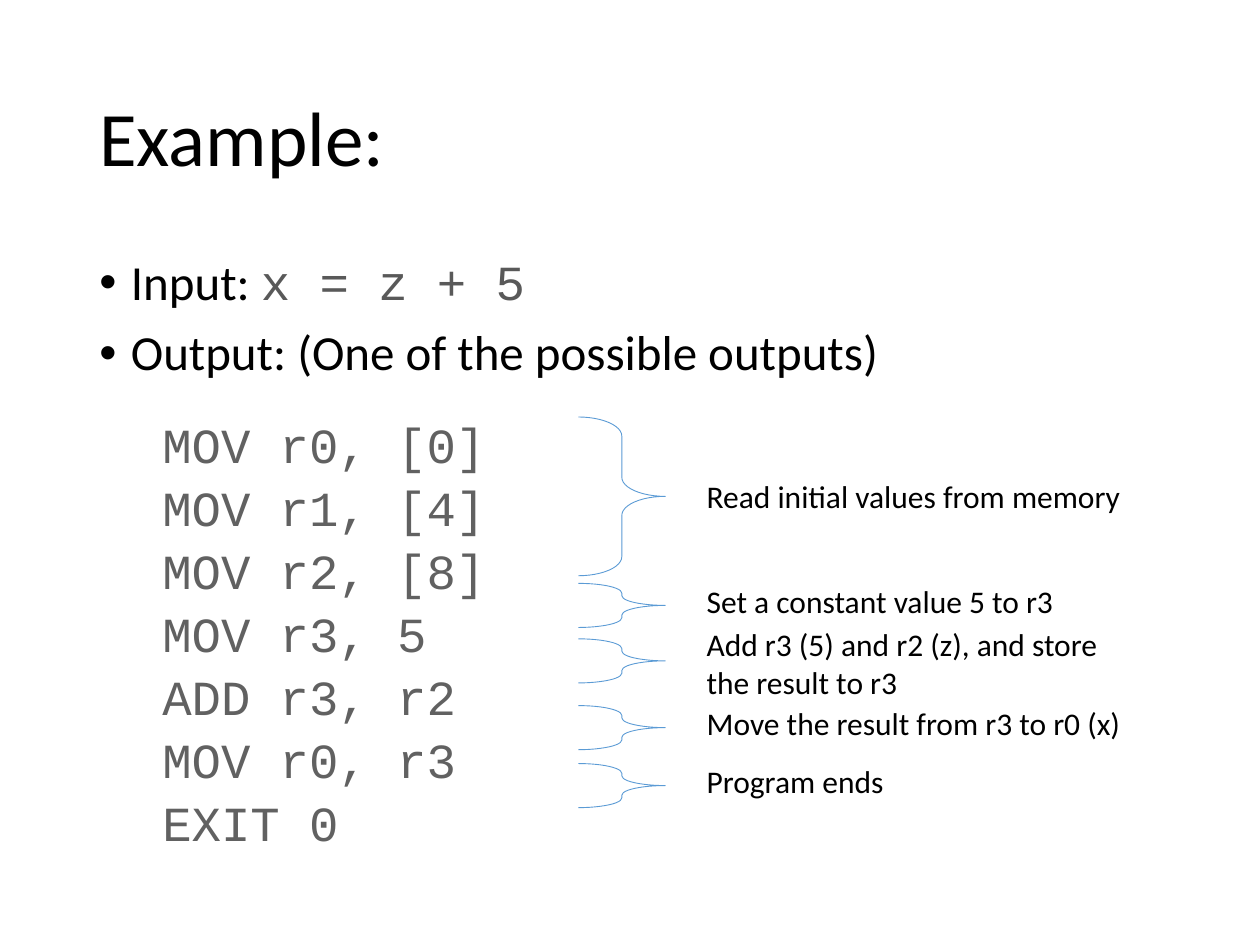
from dataclasses import dataclass

from lxml import etree
from pptx import Presentation
from pptx import util as u
from pptx.dml.color import RGBColor
from pptx.enum import shapes, text
from pptx.oxml.ns import qn

PX = 9144


@dataclass(frozen=True)
class Theme:
    ink: str = "000000"
    inline_code: str = "595959"
    code: str = "616161"
    brace: str = "5B9BD5"
    prose_font: str = "Calibri"
    code_font: str = "Courier New"
    title_size: int = 44
    body_size: int = 28
    note_size: int = 18


class SlideBuilder:
    def __init__(self, slide, theme):
        self.slide = slide
        self.theme = theme

    def frame(self, left, top, width, height, wrap=True):
        box = self.slide.shapes.add_textbox(*(n * PX for n in (left, top, width, height)))
        box.text_frame.word_wrap = wrap
        return box.text_frame

    def style(self, run, size, color, font):
        run.font.size = u.Pt(size)
        run.font.name = font
        run.font.color.rgb = RGBColor.from_string(color)

    def title(self, left, top, width, height, wording):
        heading = self.frame(left, top, width, height)
        heading.vertical_anchor = text.MSO_ANCHOR.MIDDLE
        heading.text = wording
        heading.paragraphs[0].line_spacing = 0.9
        self.style(heading.paragraphs[0].runs[0], self.theme.title_size,
                   self.theme.ink, self.theme.prose_font)

    def bullets(self, left, top, width, height, items):
        body = self.frame(left, top, width, height)
        body.text = "\n".join(label for label, _ in items)
        for paragraph, (_, formula) in zip(body.paragraphs, items):
            paragraph.line_spacing = 0.9
            paragraph.space_before = u.Pt(10)
            self.style(paragraph.runs[0], self.theme.body_size,
                       self.theme.ink, self.theme.prose_font)
            if formula:
                code = paragraph.add_run()
                code.text = formula
                self.style(code, self.theme.body_size,
                           self.theme.inline_code, self.theme.code_font)
            props = paragraph._p.get_or_add_pPr()
            props.set("marL", str(25 * PX))
            props.set("indent", str(-25 * PX))
            etree.SubElement(props, qn("a:buFont")).set("typeface", "Arial")
            etree.SubElement(props, qn("a:buChar")).set("char", "•")

    def listing(self, left, top, width, height, lines):
        program = self.frame(left, top, width, height)
        program.text = "\n".join(lines)
        for paragraph in program.paragraphs:
            paragraph.line_spacing = 1.07
            paragraph._p.get_or_add_pPr().set("marL", str(50 * PX))
            self.style(paragraph.runs[0], self.theme.body_size,
                       self.theme.code, self.theme.code_font)

    def brace(self, left, top, width, height):
        brace = self.slide.shapes.add_shape(
            shapes.MSO_SHAPE.RIGHT_BRACE, *(n * PX for n in (left, top, width, height)))
        brace.adjustments[0] = 0.22
        brace.shadow.inherit = False
        brace.fill.background()
        brace.line.color.rgb = RGBColor.from_string(self.theme.brace)
        brace.line.width = u.Pt(0.5)

    def note(self, left, top, width, height, wording):
        remark = self.frame(left, top, width, height, wrap=False).paragraphs[0]
        remark.text = wording
        for run in remark.runs:
            self.style(run, self.theme.note_size, self.theme.ink, self.theme.prose_font)


def main():
    deck = Presentation()
    deck.slide_width, deck.slide_height = 1000 * PX, 750 * PX
    builder = SlideBuilder(deck.slides.add_slide(deck.slide_layouts[6]), Theme())

    builder.title(69, 40, 862, 145, "Example:")
    builder.bullets(69, 200, 862, 476, [
        ("Input: ", "x = z + 5"),
        ("Output: (One of the possible outputs)", ""),
    ])
    builder.listing(69, 321, 368, 340, [
        "MOV r0, [0]",
        "MOV r1, [4]",
        "MOV r2, [8]",
        "MOV r3, 5",
        "ADD r3, r2",
        "MOV r0, r3",
        "EXIT 0",
    ])

    explanations = [
        (331, 126, 374, 352, 40, "Read initial values from memory"),
        (463, 35, 457, 299, 40, "Set a constant value 5 to r3"),
        (507, 35, 491, 340, 71, "Add r3 (5) and r2 (z), and store \nthe result to r3"),
        (560, 35, 554, 352, 40, "Move the result from r3 to r0 (x)"),
        (606, 35, 600, 162, 40, "Program ends"),
    ]
    for brace_top, brace_height, note_top, note_width, note_height, wording in explanations:
        builder.brace(459, brace_top, 69, brace_height)
        builder.note(551, note_top, note_width, note_height, wording)

    deck.save("out.pptx")


if __name__ == "__main__":
    main()
